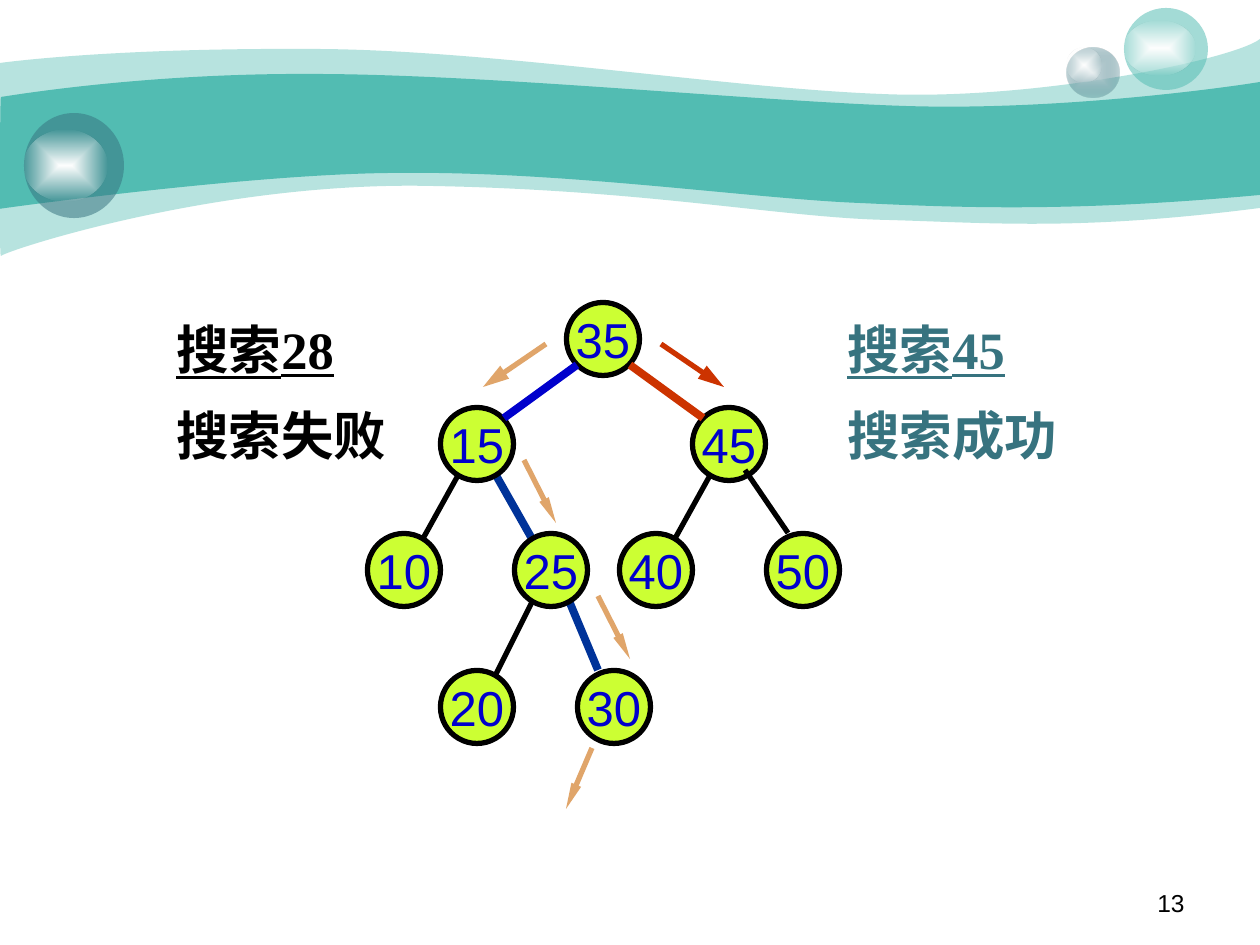
from dataclasses import dataclass

from lxml import etree
from pptx import Presentation, util as u
from pptx.dml.color import RGBColor
from pptx.enum import shapes, text
from pptx.oxml.ns import qn


@dataclass(frozen=True)
class Theme:
    teal: str = "52BCB2"
    slate: str = "37737F"
    pale: str = "CCDBDE"
    white: str = "FFFFFF"
    black: str = "000000"
    lime: str = "CCFF33"
    blue: str = "0000CC"
    navy: str = "003399"
    red: str = "CC3300"
    sand: str = "E0A56A"
    sans: str = "Arial"
    serif: str = "Times New Roman"
    node_size: int = 28
    label_size: int = 30
    number_size: int = 14
    thin: float = 3
    thick: float = 4.5


THEME = Theme()
PX = u.Inches(1) / 126
SLIDE = (1260, 945)

# Waves: fill opacity, start point, then line ends (pairs) and curves (sixes)
WAVES = [
    (41, (0, 63), [
        (30, 59, 135, 48, 311, 49), (486, 49, 724, 88, 881, 94),
        (1036, 101, 1235, 59, 1260, 39), (1260, 208),
        (1081, 231, 992, 223, 888, 220), (784, 218, 649, 190, 432, 186),
        (217, 181, 5, 251, 1, 256), (-1, 262, 0, 94, 0, 63)]),
    (100, (1, 97), [
        (3, 97, 139, 73, 312, 74), (486, 74, 750, 101, 905, 106),
        (1060, 111, 1230, 87, 1260, 82), (1260, 195),
        (1075, 212, 964, 208, 859, 203), (755, 199, 563, 171, 399, 173),
        (256, 173, -3, 209, -1, 209), (0, 209, 0, 97, 1, 97)]),
]

# Bubbles: position, then gradient stops (colour, opacity) from the centre out
GLOW = [(THEME.white, 100), (THEME.white, 0)]
BUBBLES = [
    ((1067, 48, 53, 50), [(THEME.pale, 100), (THEME.slate, 31)]),
    ((1067, 48, 35, 34), GLOW),
    ((1124, 8, 84, 82), [(THEME.teal, 53)]),
    ((1124, 21, 71, 54), GLOW),
    ((24, 113, 100, 105), [(THEME.slate, 53)]),
    ((24, 130, 83, 71), GLOW),
]

# Search results: left edge, colour, heading, outcome
RESULTS = [
    (835, THEME.slate, "搜索45", "搜索成功"),
    (164, THEME.black, "搜索28", "搜索失败"),
]

# Tree nodes by centre
NODE = 73
NODES = {
    "35": (603, 339), "15": (477, 444), "45": (729, 444),
    "50": (803, 570), "40": (656, 570), "25": (551, 570), "10": (404, 570),
    "20": (477, 707), "30": (614, 707),
}

# Lines: start, end, colour, width
EDGES_BEHIND = [
    ((713, 470), (672, 544), THEME.black, THEME.thin),
    ((567, 596), (598, 670), THEME.navy, THEME.thick),
    ((535, 596), (493, 680), THEME.black, THEME.thin),
    ((461, 470), (420, 544), THEME.black, THEME.thin),
    ((493, 470), (535, 544), THEME.navy, THEME.thick),
]
EDGES_FRONT = [
    ((577, 365), (504, 418), THEME.blue, THEME.thick),
    ((630, 365), (703, 418), THEME.red, THEME.thick),
    ((745, 470), (788, 533), THEME.black, THEME.thin),
]
# Search steps: start, end, colour, arrowhead width
STEPS = [
    ((661, 344), (724, 387), THEME.red, "med"),
    ((546, 344), (483, 387), THEME.sand, "med"),
    ((524, 460), (556, 523), THEME.sand, "sm"),
    ((598, 596), (630, 659), THEME.sand, "sm"),
    ((592, 748), (566, 809), THEME.sand, "sm"),
]


def emu(*lengths):
    return [u.Emu(round(length * PX)) for length in lengths]


def rgb(colour):
    return RGBColor.from_string(colour)


def add_colour(parent, colour, opacity):
    node = etree.SubElement(parent, qn("a:srgbClr"), val=colour)
    if opacity < 100:
        etree.SubElement(node, qn("a:alpha"), val=str(opacity * 1000))


def paint(shape, stops):
    """Fill with one colour, or with a rectangular gradient."""
    shape.shadow.inherit = False
    shape.line.fill.background()
    if len(stops) == 1:
        fill = etree.Element(qn("a:solidFill"))
        add_colour(fill, *stops[0])
    else:
        fill = etree.Element(qn("a:gradFill"), rotWithShape="1")
        stop_list = etree.SubElement(fill, qn("a:gsLst"))
        for i, stop in enumerate(stops):
            mark = etree.SubElement(stop_list, qn("a:gs"), pos=str(i * 100000))
            add_colour(mark, *stop)
        spread = etree.SubElement(fill, qn("a:path"), {"path": "rect"})
        sides = dict.fromkeys("ltrb", "50000")
        etree.SubElement(spread, qn("a:fillToRect"), sides)
    shape.element.spPr.find(qn("a:ln")).addprevious(fill)


def add_wave(page, start, segments):
    """Draw all points as lines, then join each curve's three into one."""
    builder = page.shapes.build_freeform(*start, scale=PX)
    for segment in segments:
        builder.add_line_segments(zip(segment[::2], segment[1::2]), close=False)
    builder.add_line_segments([], close=True)
    wave = builder.convert_to_shape()
    lines = iter(list(wave.element.iter(qn("a:lnTo"))))
    for segment in segments:
        parts = [next(lines) for _ in segment[::2]]
        if len(parts) == 3:
            curve = etree.Element(qn("a:cubicBezTo"))
            parts[0].addprevious(curve)
            for part in parts:
                curve.append(part[0])
                part.getparent().remove(part)
    return wave


def add_span(para, words, size, font, colour, **style):
    span = para.add_run()
    span.text = words
    span.font.size, span.font.name = u.Pt(size), font
    span.font.color.rgb = rgb(colour)
    for name, value in style.items():
        setattr(span.font, name, value)


def add_line(page, start, end, colour, width, head=None):
    line = page.shapes.add_connector(
        shapes.MSO_CONNECTOR.STRAIGHT, *emu(*start, *end))
    line.line.color.rgb = rgb(colour)
    line.line.width = u.Pt(width)
    if head:
        etree.SubElement(line._element.spPr.find(qn("a:ln")), qn("a:tailEnd"),
                         type="triangle", w=head, len="lg")
    etree.SubElement(line._element.spPr, qn("a:effectLst"))


def add_ellipse(page, *place):
    return page.shapes.add_shape(shapes.MSO_SHAPE.OVAL, *emu(*place))


def add_node(page, key, centre):
    x, y = centre
    node = add_ellipse(page, x - NODE / 2, y - NODE / 2, NODE, NODE)
    node.shadow.inherit = False
    node.fill.solid()
    node.fill.fore_color.rgb = rgb(THEME.lime)
    node.line.color.rgb = rgb(THEME.black)
    node.line.width = u.Pt(THEME.thin)
    frame = node.text_frame
    frame.word_wrap = False
    frame.vertical_anchor = text.MSO_ANCHOR.MIDDLE
    para = frame.paragraphs[0]
    para.alignment = text.PP_ALIGN.CENTER
    add_span(para, key, THEME.node_size, THEME.sans, THEME.blue)


def main():
    deck = Presentation()
    deck.slide_width, deck.slide_height = emu(*SLIDE)
    page = deck.slides.add_slide(deck.slide_layouts[6])

    # Banner
    for opacity, start, segments in WAVES:
        paint(add_wave(page, start, segments), [(THEME.teal, opacity)])
    for place, stops in BUBBLES:
        paint(add_ellipse(page, *place), stops)

    # Page number
    frame = page.shapes.add_textbox(*emu(903, 882, 294, 44)).text_frame
    frame.word_wrap = True
    para = frame.paragraphs[0]
    para.alignment = text.PP_ALIGN.RIGHT
    add_span(para, "13", THEME.number_size, THEME.sans, THEME.black)

    # Search results
    for left, colour, heading, outcome in RESULTS:
        frame = page.shapes.add_textbox(*emu(left, 311, 240, 162)).text_frame
        frame.word_wrap = True
        add_span(frame.paragraphs[0], heading, THEME.label_size, THEME.serif,
                 colour, bold=True, underline=True)
        para = frame.add_paragraph()
        para.space_before = u.Pt(13.1)
        add_span(para, outcome, THEME.label_size, THEME.serif, colour, bold=True)

    # Search tree
    for edge in EDGES_BEHIND:
        add_line(page, *edge)
    for key, centre in NODES.items():
        add_node(page, key, centre)
    for edge in EDGES_FRONT:
        add_line(page, *edge)
    for start, end, colour, head in STEPS:
        add_line(page, start, end, colour, THEME.thin, head)

    deck.save("out.pptx")


if __name__ == "__main__":
    main()
